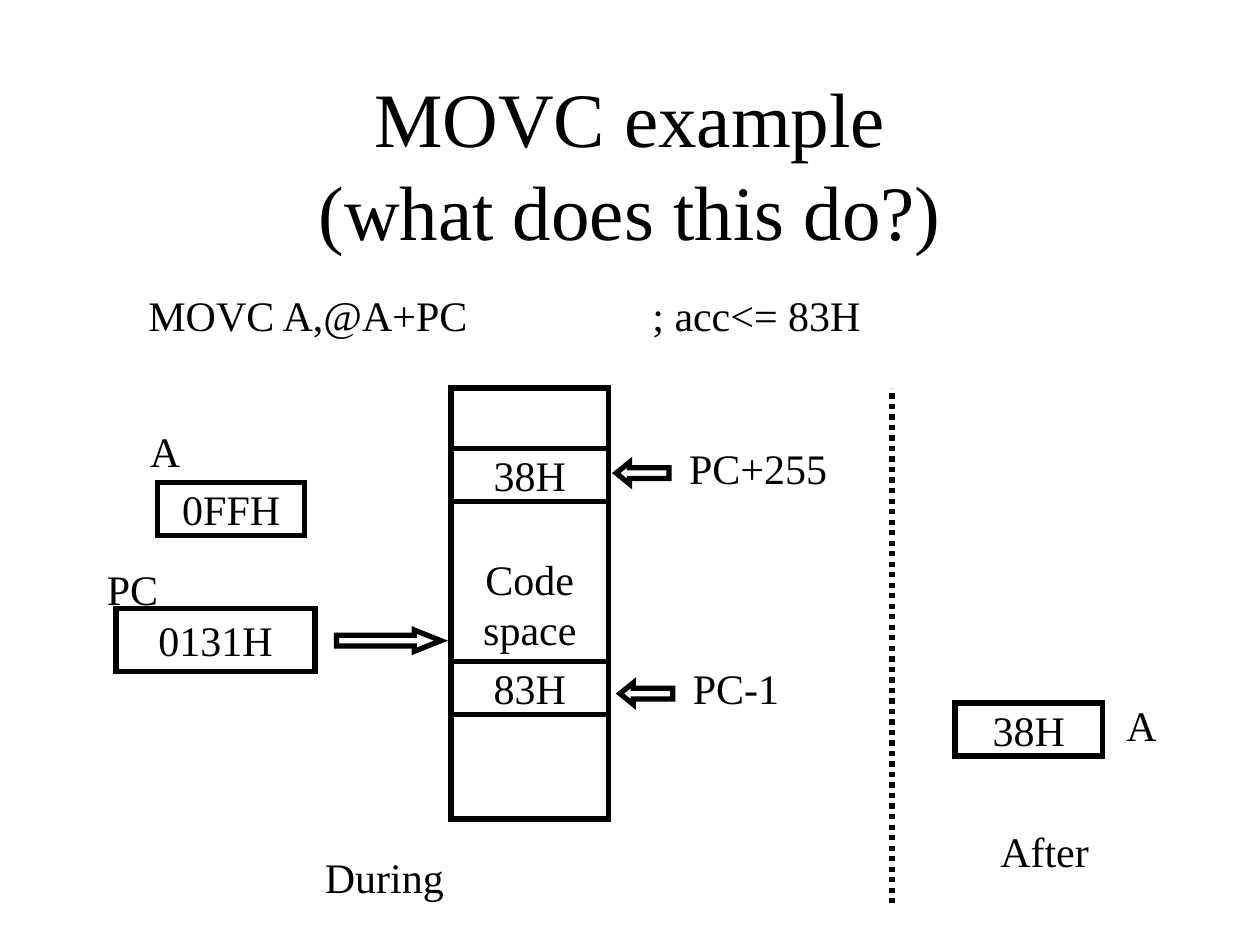
from typing import NamedTuple

from lxml import etree
from pptx import Presentation
from pptx.dml.color import RGBColor
from pptx.enum.dml import MSO_LINE
from pptx.enum.shapes import MSO_CONNECTOR, MSO_SHAPE
from pptx.enum.text import MSO_ANCHOR, PP_ALIGN
from pptx.oxml.ns import qn
from pptx.util import Inches, Pt

RECTANGLE = MSO_SHAPE.RECTANGLE
LEFT_ARROW = MSO_SHAPE.LEFT_ARROW
RIGHT_ARROW = MSO_SHAPE.RIGHT_ARROW
STRAIGHT = MSO_CONNECTOR.STRAIGHT
DOTTED = MSO_LINE.ROUND_DOT
LEFT, CENTER = PP_ALIGN.LEFT, PP_ALIGN.CENTER
TOP, MIDDLE = MSO_ANCHOR.TOP, MSO_ANCHOR.MIDDLE

COLORS = {"ink": "000000", "paper": "FFFFFF"}
FONT = "Times New Roman"
LINE_WIDTH = Pt(3)
MEMORY_LEFT, MEMORY_WIDTH = 3.58, 1.25
CELL_HEIGHT = 0.42


class Box(NamedTuple):
    left: float
    top: float
    width: float
    height: float
    text: str


class Label(NamedTuple):
    left: float
    top: float
    width: float
    text: str


class Arrow(NamedTuple):
    preset: MSO_SHAPE
    left: float
    top: float
    width: float
    head: float


BOXES = [
    Box(MEMORY_LEFT, 3.08, MEMORY_WIDTH, 3.42, "Code\nspace"),
    Box(MEMORY_LEFT, 3.56, MEMORY_WIDTH, CELL_HEIGHT, "38H"),
    Box(MEMORY_LEFT, 5.25, MEMORY_WIDTH, CELL_HEIGHT, "83H"),
    Box(0.92, 4.83, 1.58, 0.5, "0131H"),
    Box(1.25, 3.83, 1.17, CELL_HEIGHT, "0FFH"),
    Box(7.58, 5.58, 1.17, CELL_HEIGHT, "38H"),
]
LABELS = [
    Label(0.75, 4.42, 0.65, "PC"),
    Label(1.09, 3.33, 0.48, "A"),
    Label(2.48, 6.71, 1.2, "During"),
    Label(7.84, 6.5, 0.95, "After"),
    Label(8.84, 5.5, 0.48, "A"),
    Label(5.4, 5.21, 0.95, "PC-1"),
    Label(5.37, 3.46, 1.35, "PC+255"),
]
ARROWS = [
    Arrow(RIGHT_ARROW, 2.67, 5, 0.83, 1.25),
    Arrow(LEFT_ARROW, 4.92, 5.42, 0.42, 0.62),
    Arrow(LEFT_ARROW, 4.89, 3.67, 0.42, 0.62),
]


def color(name: str) -> RGBColor:
    return RGBColor.from_string(COLORS[name])


def write(shape, text: str, *, size: int = 24, align=LEFT, anchor=TOP,
          wrap: bool = True, tab_stops: int = 0) -> None:
    """Fill a shape with text; each newline starts a paragraph, each \\v a line."""
    frame = shape.text_frame
    frame.word_wrap = wrap
    frame.vertical_anchor = anchor
    frame.text = text
    for paragraph in frame.paragraphs:
        paragraph.alignment = align
        if tab_stops:
            properties = paragraph._p.get_or_add_pPr()
            tabs = etree.SubElement(properties, qn("a:tabLst"))
            for inch in range(1, tab_stops + 1):
                etree.SubElement(tabs, qn("a:tab"), pos=str(Inches(inch)), algn="l")
        for run in paragraph.runs:
            run.font.name = FONT
            run.font.size = Pt(size)
            run.font.color.rgb = color("ink")


def add_text(slide, left: float, top: float, width: float, height: float,
             text: str, **text_format) -> None:
    shape = slide.shapes.add_textbox(
        Inches(left), Inches(top), Inches(width), Inches(height))
    write(shape, text, **text_format)


def add_outlined(slide, preset: MSO_SHAPE, left: float, top: float,
                 width: float, height: float):
    shape = slide.shapes.add_shape(
        preset, Inches(left), Inches(top), Inches(width), Inches(height))
    shape.shadow.inherit = False
    shape.fill.solid()
    shape.fill.fore_color.rgb = color("paper")
    shape.line.color.rgb = color("ink")
    shape.line.width = LINE_WIDTH
    # Sharp corners
    outline = shape._element.spPr.find(qn("a:ln"))
    etree.SubElement(outline, qn("a:miter"), lim="800000")
    return shape


def add_box(slide, box: Box) -> None:
    shape = add_outlined(slide, RECTANGLE, box.left, box.top, box.width, box.height)
    write(shape, box.text, align=CENTER, anchor=MIDDLE, wrap=False)


def add_label(slide, label: Label) -> None:
    add_text(slide, label.left, label.top, label.width, 0.5, label.text)


def add_arrow(slide, arrow: Arrow) -> None:
    shape = add_outlined(slide, arrow.preset, arrow.left, arrow.top, arrow.width, 0.17)
    shape.adjustments[0] = 0.5
    shape.adjustments[1] = arrow.head


def add_divider(slide, x: float, top: float, bottom: float) -> None:
    divider = slide.shapes.add_connector(
        STRAIGHT, Inches(x), Inches(bottom), Inches(x), Inches(top))
    divider.line.color.rgb = color("ink")
    divider.line.width = LINE_WIDTH
    divider.line.dash_style = DOTTED
    etree.SubElement(divider._element.spPr, qn("a:effectLst"))


def main() -> None:
    presentation = Presentation()
    presentation.slide_width = Inches(10)
    presentation.slide_height = Inches(7.5)
    slide = presentation.slides.add_slide(presentation.slide_layouts[6])

    # Title and instruction
    add_text(slide, 0.75, 0.67, 8.5, 1.25, "MOVC example\v(what does this do?)",
             size=44, align=CENTER, anchor=MIDDLE)
    add_text(slide, 1.08, 2.25, 6.5, 0.5, "MOVC A,@A+PC\t\t; acc<= 83H", tab_stops=7)

    # Code memory, registers and pointers
    for box in BOXES:
        add_box(slide, box)
    for label in LABELS:
        add_label(slide, label)
    for arrow in ARROWS:
        add_arrow(slide, arrow)

    # Border between during and after
    add_divider(slide, 7.08, 3.08, 7.17)

    presentation.save("out.pptx")


if __name__ == "__main__":
    main()
